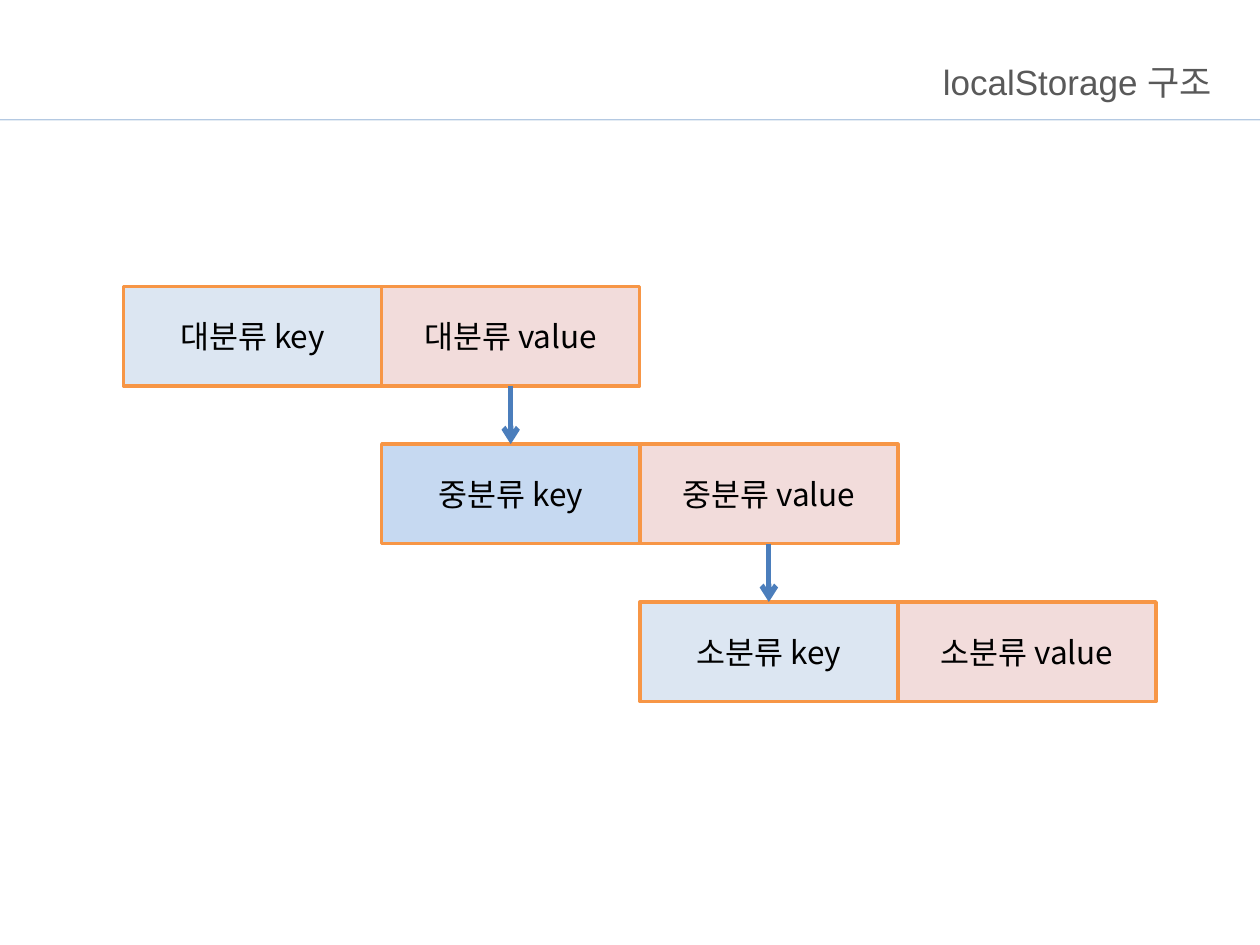
from lxml.etree import SubElement
from pptx import Presentation
from pptx.dml.color import RGBColor
from pptx.enum.shapes import MSO_CONNECTOR, MSO_SHAPE
from pptx.enum.text import MSO_ANCHOR, PP_ALIGN
from pptx.oxml.ns import qn
from pptx.util import Pt


def color(code):
    return RGBColor.from_string(code)


class Deck:
    head_font = "Arial"
    body_font = "Noto Sans CJK KR"
    edge = "F79646"
    link = "4B7EBC"

    def __init__(self, wide, high):
        self.file = Presentation()
        self.file.slide_width = Pt(wide)
        self.file.slide_height = Pt(high)
        self.slide = self.file.slides.add_slide(self.file.slide_layouts[5])

    def label(self, frame, text, font, size, tint, align):
        frame.text = text
        frame.word_wrap = True
        frame.vertical_anchor = MSO_ANCHOR.MIDDLE
        line = frame.paragraphs[0]
        line.alignment = align
        run = line.runs[0]
        run.font.name = font
        run.font.size = Pt(size)
        run.font.color.rgb = color(tint)
        SubElement(run.font._element, qn("a:ea"), typeface=self.body_font)

    def title(self, text, left, top, wide, high):
        head = self.slide.shapes.title
        head.left, head.top = Pt(left), Pt(top)
        head.width, head.height = Pt(wide), Pt(high)
        self.label(head.text_frame, text, self.head_font, 20, "595959", PP_ALIGN.RIGHT)

    def box(self, text, left, top, wide, high, fill):
        box = self.slide.shapes.add_shape(
            MSO_SHAPE.RECTANGLE, Pt(left), Pt(top), Pt(wide), Pt(high))
        box.shadow.inherit = False
        box.fill.solid()
        box.fill.fore_color.rgb = color(fill)
        box.line.color.rgb = color(self.edge)
        box.line.width = Pt(2)
        self.label(box.text_frame, text, self.body_font, 18, "000000", PP_ALIGN.CENTER)
        return box

    def line(self, start, end, tint, width):
        line = self.slide.shapes.add_connector(
            MSO_CONNECTOR.STRAIGHT, *map(Pt, start + end))
        line.line.color.rgb = color(tint)
        line.line.width = Pt(width)
        SubElement(line._element.spPr, qn("a:effectLst"))
        return line

    def rule(self, top, wide):
        rule = self.line((0, top), (wide, top), "95B3D7", 0.75)
        tint = rule._element.spPr.find(".//" + qn("a:srgbClr"))
        SubElement(tint, qn("a:alpha"), val="70000")

    def arrow(self, above, below):
        arrow = self.line((0, 0), (0, 0), self.link, 3)
        arrow.begin_connect(above, 2)
        arrow.end_connect(below, 0)
        edge = arrow._element.spPr.find(qn("a:ln"))
        SubElement(edge, qn("a:tailEnd"), type="arrow")


def main():
    wide, high = 720, 540
    deck = Deck(wide, high)
    deck.rule(68.5, wide)
    deck.title("localStorage 구조", 76.3, 27.4, 623.5, 38.9)

    left, top = 70.6, 163.6
    cell, tall, step = 147.5, 56.9, 90.2
    rows = [("대분류", "DCE6F2"), ("중분류", "C6D9F1"), ("소분류", "DCE6F2")]
    last = None
    for i, (name, fill) in enumerate(rows):
        x, y = left + i * cell, top + i * step
        key = deck.box(f"{name} key", x, y, cell, tall, fill)
        value = deck.box(f"{name} value", x + cell, y, cell, tall, "F2DCDB")
        if last:
            deck.arrow(last, key)
        last = value

    deck.file.save("out.pptx")


if __name__ == "__main__":
    main()
